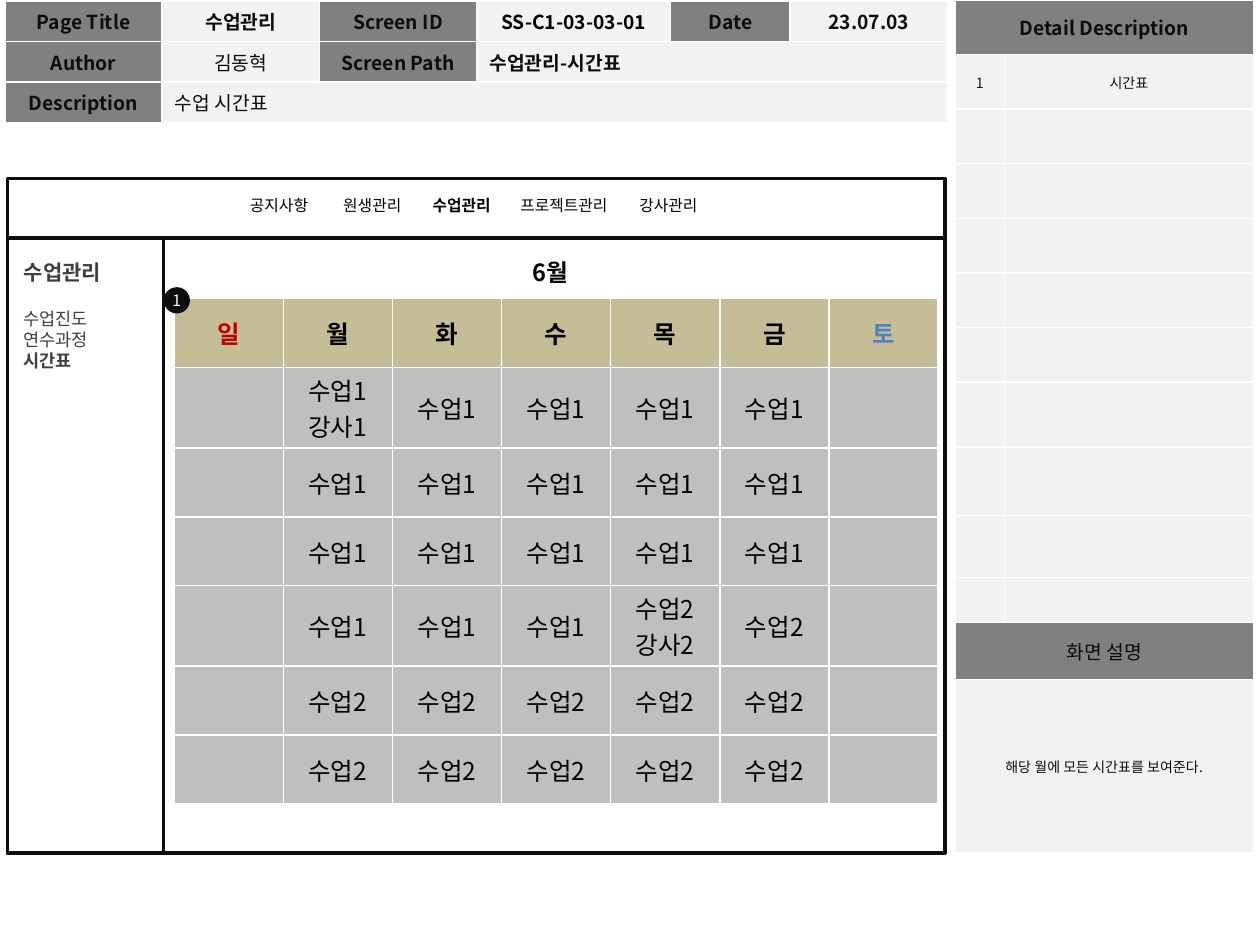
from lxml.etree import SubElement
from pptx import Presentation
from pptx.dml.color import RGBColor
from pptx.enum.shapes import MSO_SHAPE as Shape
from pptx.enum.text import MSO_ANCHOR as Anchor, MSO_AUTO_SIZE as AutoSize, PP_ALIGN as Align
from pptx.oxml.ns import qn
from pptx.util import Cm, Pt

FONT = "Noto Sans CJK KR"
COLORS = {
    "black": "000000", "ink": "0D0D0D", "dark": "404040", "white": "FFFFFF",
    "label": "808080", "value": "F2F2F2", "weekday": "C4BD97", "lesson": "BFBFBF",
    "sunday": "C00000", "saturday": "4F81BD",
}

INFO_COLS = [3.17, 3.17, 3.17, 3.91, 2.41, 3.17]
INFO_ROWS = [0.8, 0.81, 0.81]
INFO = [
    ["Page Title", "수업관리", "Screen ID", "SS-C1-03-03-01", "Date", "23.07.03"],
    ["Author", "김동혁", "Screen Path", "수업관리-시간표"],
    ["Description", "수업 시간표"],
]
INFO_LABELS = {"Page Title", "Screen ID", "Date", "Author", "Screen Path", "Description"}
INFO_PLAIN = {"김동혁", "수업 시간표"}
INFO_LEFT = {"수업관리-시간표", "수업 시간표"}

DETAIL_COLS = [1, 5.02]
DETAIL_ROWS = [1.1] * 7 + [1.31, 1.38, 1.25, 0.91, 1.15, 3.5]
DETAIL = [["Detail Description"], ["1", "시간표"], *[["", ""]] * 9,
          ["화면 설명"], ["해당 월에 모든 시간표를 보여준다."]]
DETAIL_HEADINGS = {"Detail Description", "화면 설명"}

MONTH = "6월"
FIRST, SECOND = "수업1", "수업2"
TIMETABLE = [
    ["일", "월", "화", "수", "목", "금", "토"],
    ["", FIRST + "\n강사1", *[FIRST] * 4, ""],
    ["", *[FIRST] * 5, ""],
    ["", *[FIRST] * 5, ""],
    ["", *[FIRST] * 3, SECOND + "\n강사2", SECOND, ""],
    ["", *[SECOND] * 5, ""],
    ["", *[SECOND] * 5, ""],
]
WEEKEND = {"일": "sunday", "토": "saturday"}

MENU = ["공지사항", "원생관리", "수업관리", "프로젝트관리", "강사관리"]
MENU_TABS = [1.88, 3.68, 5.45, 7.85]
SIDEBAR = ["수업진도", "연수과정", "시간표"]
FRAMES = [(0.15, 4.8, 18.9, 12.4), (0.15, 3.6, 18.9, 1.2), (0.15, 4.8, 3.15, 12.4)]


def rgb(name):
    return RGBColor.from_string(COLORS[name])


def write(paragraph, text, size=11, color="ink", bold=False, align=Align.LEFT):
    paragraph.alignment = align
    if not text:
        paragraph._p.get_or_add_endParaRPr().set("sz", str(size * 100))
        return
    run = paragraph.add_run()
    run.text = text
    run.font.size, run.font.bold, run.font.name = Pt(size), bold, FONT
    run.font.color.rgb = rgb(color)
    SubElement(run.font._element, qn("a:ea"), typeface=FONT)


def add_grid(slide, left, top, cols, rows, content, style, header):
    """Add a table; a short row spans its last cell to the right edge."""
    grid = slide.shapes.add_table(len(rows), len(cols), Cm(left), Cm(top),
                                  Cm(sum(cols)), Cm(sum(rows))).table
    grid.first_row, grid.horz_banding = header, False
    for column, width in zip(grid.columns, cols):
        column.width = Cm(width)
    for row, height in zip(grid.rows, rows):
        row.height = Cm(height)
    for r, texts in enumerate(content):
        if len(texts) < len(cols):
            grid.cell(r, len(texts) - 1).merge(grid.cell(r, len(cols) - 1))
        for c, text in enumerate(texts):
            cell = grid.cell(r, c)
            fill, font = style(r, text)
            cell.fill.solid()
            cell.fill.fore_color.rgb = rgb(fill)
            cell.vertical_anchor = Anchor.MIDDLE
            for i, line in enumerate(text.split("\n")):
                frame = cell.text_frame
                write(frame.add_paragraph() if i else frame.paragraphs[0], line, **font)
    return grid


def info_style(row, text):
    return ("label" if text in INFO_LABELS else "value",
            dict(bold=text not in INFO_PLAIN,
                 color="black" if text.startswith("SS-") else "ink",
                 align=Align.LEFT if text in INFO_LEFT else Align.CENTER))


def detail_style(row, text):
    heading = text in DETAIL_HEADINGS
    return ("label" if heading else "value",
            dict(size=11 if heading else 8, bold=row == 0, align=Align.CENTER))


def timetable_style(row, text):
    return ("lesson" if row else "weekday",
            dict(size=14, bold=row == 0, color=WEEKEND.get(text, "black"), align=Align.CENTER))


def add_textbox(slide, *box):
    frame = slide.shapes.add_textbox(*map(Cm, box)).text_frame
    frame.word_wrap = True
    return frame


def add_outline(slide, kind, box):
    shape = slide.shapes.add_shape(kind, *map(Cm, box))
    shape.shadow.inherit = False
    shape.fill.background()
    shape.line.color.rgb, shape.line.width = rgb("ink"), Pt(2)
    return shape


def add_month(slide):
    title = slide.shapes.title
    title.left, title.top, title.width, title.height = map(Cm, (10.49, 5.08, 1.5, 0.84))
    frame = title.text_frame
    frame.auto_size, frame.vertical_anchor = AutoSize.NONE, Anchor.TOP
    write(frame.paragraphs[0], MONTH, size=13.5, color="black", bold=True)


def add_marker(slide):
    marker = add_outline(slide, Shape.OVAL, (3.3, 5.79, 0.53, 0.53))
    marker.fill.solid()
    marker.fill.fore_color.rgb = rgb("ink")
    marker.line.fill.background()
    frame = marker.text_frame
    frame.margin_left = frame.margin_right = frame.margin_top = frame.margin_bottom = 0
    frame.vertical_anchor = Anchor.MIDDLE
    write(frame.paragraphs[0], "1", size=9, color="white", align=Align.CENTER)


def add_sidebar(slide):
    frame = add_textbox(slide, 0.23, 5.08, 2.7, 2.51)
    heading = frame.paragraphs[0]
    heading.line_spacing = Pt(15)
    write(heading, "수업관리", size=12, color="dark", bold=True)
    for i, entry in enumerate(SIDEBAR):
        paragraph = frame.add_paragraph()
        paragraph.line_spacing = Pt(12)
        paragraph.space_before = Pt(0 if i else 13.5)
        write(paragraph, entry, size=10, color="dark", bold=entry == "시간표")


def add_menu(slide):
    frame = add_textbox(slide, 4.14, 3.83, 10.8, 0.64)
    frame.margin_left = Cm(0.9)
    paragraph = frame.paragraphs[0]
    for i, entry in enumerate(MENU):
        write(paragraph, "\t" * (i > 0) + entry, size=9, color="black", bold=entry == "수업관리")
    tabs = SubElement(paragraph._p.get_or_add_pPr(), qn("a:tabLst"))
    for stop in MENU_TABS:
        SubElement(tabs, qn("a:tab"), pos=str(Cm(stop)), algn="l")


def main():
    deck = Presentation()
    deck.slide_width, deck.slide_height = Cm(25.4), Cm(19.05)
    slide = deck.slides.add_slide(deck.slide_layouts[5])
    timetable = add_grid(slide, 3.51, 6.02, [2.2] * 7, [1.39] * 7, TIMETABLE, timetable_style, True)
    for cell in timetable.iter_cells():
        cell.margin_left = cell.margin_right = Cm(0.18)
        cell.margin_top = cell.margin_bottom = Cm(0.09)
    add_month(slide)
    add_grid(slide, 0.1, 0.02, INFO_COLS, INFO_ROWS, INFO, info_style, False)
    add_grid(slide, 19.25, 0, DETAIL_COLS, DETAIL_ROWS, DETAIL, detail_style, True)
    for frame in FRAMES:
        add_outline(slide, Shape.RECTANGLE, frame)
    add_marker(slide)
    add_sidebar(slide)
    add_menu(slide)
    deck.save("out.pptx")


if __name__ == "__main__":
    main()
